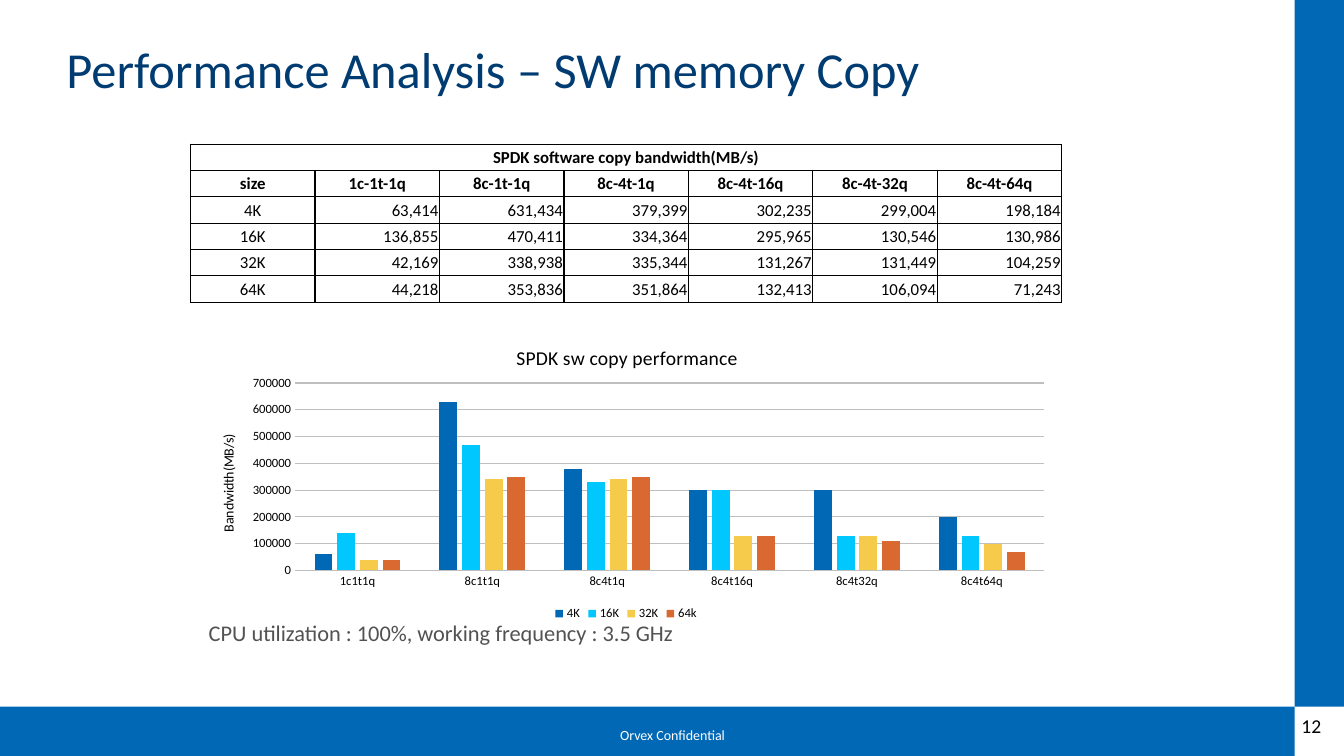
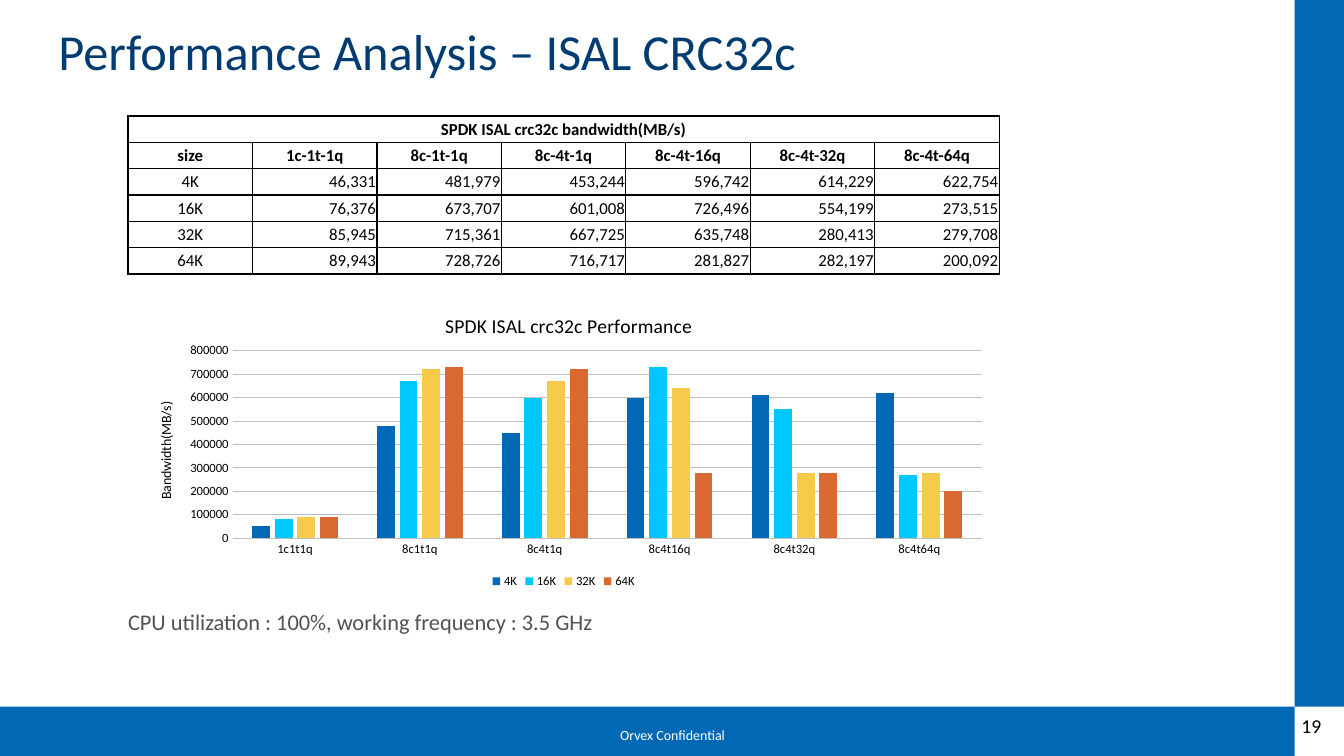
from dataclasses import dataclass

from lxml import etree
from pptx import Presentation
from pptx.chart.data import CategoryChartData
from pptx.dml.color import RGBColor
from pptx.enum.chart import XL_CHART_TYPE, XL_LEGEND_POSITION, XL_TICK_MARK
from pptx.enum.shapes import MSO_SHAPE
from pptx.enum.text import MSO_ANCHOR, PP_ALIGN
from pptx.oxml.ns import qn
from pptx.util import Inches, Pt

COLUMNS = XL_CHART_TYPE.COLUMN_CLUSTERED
LEGEND_BOTTOM = XL_LEGEND_POSITION.BOTTOM
NO_TICK = XL_TICK_MARK.NONE
RECTANGLE = MSO_SHAPE.RECTANGLE
MIDDLE = MSO_ANCHOR.MIDDLE
LEFT, CENTER, RIGHT = PP_ALIGN.LEFT, PP_ALIGN.CENTER, PP_ALIGN.RIGHT


@dataclass(frozen=True)
class Theme:
    """Colours, font and type sizes of the deck."""

    font: str = "Calibri"
    band: str = "0068B5"
    title: str = "003C71"
    note: str = "525252"
    ink: str = "000000"
    paper: str = "FFFFFF"
    grid: str = "BFBFBF"
    series: tuple = ("0068B5", "00C7FD", "F6CB4B", "D96930")
    title_size: int = 36
    note_size: int = 16
    number_size: int = 14
    chart_title_size: int = 14
    table_size: int = 12
    small_size: int = 10
    axis_size: int = 9


@dataclass(frozen=True)
class Report:
    """Content and placement of one performance slide."""

    number: str
    title: str
    title_at: tuple
    table_title: str
    table_at: tuple
    chart_title: str
    chart_top: float
    chart_title_left: float
    note_at: tuple
    legend: tuple
    values: tuple


THEME = Theme()
WIDTH, HEIGHT = 13.33, 7.5
BAND = 0.49
BLOCK_WIDTH, TABLE_HEIGHT, CHART_HEIGHT = 8.64, 1.57, 3
SIZES = ("4K", "16K", "32K", "64K")
SETUPS = ("1c-1t-1q", "8c-1t-1q", "8c-4t-1q", "8c-4t-16q", "8c-4t-32q", "8c-4t-64q")
NOTE = "CPU utilization : 100%, working frequency : 3.5 GHz"
FOOTER = "Orvex Confidential"

REPORTS = (
    Report(
        number="12",
        title="Performance Analysis – SW memory Copy",
        title_at=(0.66, 0.45),
        table_title="SPDK software copy bandwidth(MB/s)",
        table_at=(1.89, 1.43),
        chart_title="SPDK sw copy performance",
        chart_top=3.2,
        chart_title_left=0.37,
        note_at=(2.07, 6.14),
        legend=("4K", "16K", "32K", "64k"),
        values=(
            (63414, 631434, 379399, 302235, 299004, 198184),
            (136855, 470411, 334364, 295965, 130546, 130986),
            (42169, 338938, 335344, 131267, 131449, 104259),
            (44218, 353836, 351864, 132413, 106094, 71243),
        ),
    ),
    Report(
        number="19",
        title="Performance Analysis – ISAL CRC32c",
        title_at=(0.58, 0.27),
        table_title="SPDK ISAL crc32c bandwidth(MB/s)",
        table_at=(1.27, 1.15),
        chart_title="SPDK ISAL crc32c Performance",
        chart_top=2.88,
        chart_title_left=0.36,
        note_at=(1.27, 6.03),
        legend=SIZES,
        values=(
            (46331, 481979, 453244, 596742, 614229, 622754),
            (76376, 673707, 601008, 726496, 554199, 273515),
            (85945, 715361, 667725, 635748, 280413, 279708),
            (89943, 728726, 716717, 281827, 282197, 200092),
        ),
    ),
)


def style_font(font, size, color=THEME.ink, bold=False):
    """Apply the deck font with a size, colour and weight."""
    font.name, font.size, font.bold = THEME.font, Pt(size), bold
    font.color.rgb = RGBColor.from_string(color)


def write_text(frame, text, *, size, color=THEME.ink, bold=False, align=LEFT, spacing=None):
    """Write one formatted paragraph into a text frame."""
    para = frame.paragraphs[0]
    para.alignment = align
    para.line_spacing = spacing
    span = para.add_run()
    span.text = text
    style_font(span.font, size, color, bold)


def add_text(page, at, text, *, inset=True, **text_format):
    """Add a wrapping text box, with or without insets."""
    box = page.shapes.add_textbox(*map(Inches, at))
    frame = box.text_frame
    frame.word_wrap = True
    if not inset:
        frame.margin_left = frame.margin_right = 0
        frame.margin_top = frame.margin_bottom = 0
    write_text(frame, text, **text_format)


def add_band(page, *at):
    """Add a plain band in the deck's main colour."""
    band = page.shapes.add_shape(RECTANGLE, *map(Inches, at))
    band.shadow.inherit = False
    band.fill.solid()
    band.fill.fore_color.rgb = RGBColor.from_string(THEME.band)
    band.line.fill.background()


def add_frame(page, report):
    """Add the bands, footer, page number and title."""
    right, bottom = WIDTH - BAND, HEIGHT - BAND
    add_band(page, 0, bottom, right, BAND)
    add_band(page, right, 0, BAND, bottom)
    add_text(page, (5.92, 7.18, 1.5, 0.25), FOOTER, size=THEME.small_size,
             color=THEME.paper, align=CENTER, spacing=0.9)
    add_text(page, (12.81, 7.06, 0.52, 0.35), report.number,
             size=THEME.number_size, spacing=0.9)
    add_text(page, (*report.title_at, 12, 0.62), report.title, inset=False,
             size=THEME.title_size, color=THEME.title, spacing=0.9)


def border_cell(cell):
    """Draw a one-point line on every side of a cell."""
    properties = cell._tc.get_or_add_tcPr()
    for side in ("a:lnL", "a:lnR", "a:lnT", "a:lnB"):
        line = etree.SubElement(properties, qn(side), w=str(Pt(1)))
        fill = etree.SubElement(line, qn("a:solidFill"))
        etree.SubElement(fill, qn("a:srgbClr"), val=THEME.ink)


def add_bandwidth_table(page, report):
    """Add the bandwidth figures under a merged heading."""
    rows = [(report.table_title,) + ("",) * len(SETUPS), ("size", *SETUPS)]
    for size, values in zip(SIZES, report.values):
        rows.append((size, *(f"{value:,}" for value in values)))
    at = (*report.table_at, BLOCK_WIDTH, TABLE_HEIGHT)
    table = page.shapes.add_table(len(rows), len(rows[0]), *map(Inches, at)).table
    table.first_row = table.horz_banding = False
    for row, texts in enumerate(rows):
        for column, text in enumerate(texts):
            cell = table.cell(row, column)
            border_cell(cell)
            cell.fill.solid()
            cell.fill.fore_color.rgb = RGBColor.from_string(THEME.paper)
            cell.vertical_anchor = MIDDLE
            cell.margin_left = cell.margin_right = cell.margin_top = Inches(0.01)
            cell.margin_bottom = 0
            heading = row < 2
            write_text(cell.text_frame, text, size=THEME.table_size, bold=heading,
                       align=CENTER if heading or column == 0 else RIGHT, spacing=0.9)
    table.cell(0, 0).merge(table.cell(0, len(SETUPS)))


def place_in_chart(element, index, **settings):
    """Give a chart part a manual layout in fractions of the chart."""
    for layout in element.findall(qn("c:layout")):
        element.remove(layout)
    layout = etree.Element(qn("c:layout"))
    manual = etree.SubElement(layout, qn("c:manualLayout"))
    for name, value in settings.items():
        etree.SubElement(manual, qn(f"c:{name}"), val=str(value))
    element.insert(index, layout)


def title_chart_part(title, text, size, x, y):
    """Write a chart or axis title and set its place."""
    write_text(title.text_frame, text, size=size, align=CENTER)
    place_in_chart(title._element, 1, xMode="edge", yMode="edge", x=x, y=y)


def style_axis(axis):
    """Remove an axis line and its ticks, and set its labels."""
    axis.major_tick_mark = axis.minor_tick_mark = NO_TICK
    axis.format.line.fill.background()
    style_font(axis.tick_labels.font, THEME.axis_size)


def add_bandwidth_chart(page, report):
    """Add the clustered columns of rounded bandwidth."""
    data = CategoryChartData()
    data.categories = [setup.replace("-", "") for setup in SETUPS]
    for name, values in zip(report.legend, report.values):
        data.add_series(name, [round(value, -4) for value in values])
    at = (report.table_at[0], report.chart_top, BLOCK_WIDTH, CHART_HEIGHT)
    chart = page.shapes.add_chart(COLUMNS, *map(Inches, at), data).chart
    style_font(chart.font, THEME.small_size)
    title_chart_part(chart.chart_title, report.chart_title,
                     THEME.chart_title_size, report.chart_title_left, 0.06)

    style_axis(chart.category_axis)
    axis = chart.value_axis
    style_axis(axis)
    axis.minimum_scale, axis.major_unit = 0, 100000
    grid = axis.major_gridlines.format.line
    grid.width = Pt(0.75)
    grid.color.rgb = RGBColor.from_string(THEME.grid)
    title_chart_part(axis.axis_title, "Bandwidth(MB/s)", THEME.small_size, 0.03, 0.36)
    axis.axis_title.text_frame._txBody.bodyPr.set("rot", "-5400000")

    chart.has_legend = True
    chart.legend.position = LEGEND_BOTTOM
    chart.legend.include_in_layout = False
    style_font(chart.legend.font, THEME.axis_size)

    plot = chart.plots[0]
    plot.gap_width, plot.overlap = 219, -27
    plot.vary_by_categories = False
    for series, color in zip(plot.series, THEME.series):
        series.format.fill.solid()
        series.format.fill.fore_color.rgb = RGBColor.from_string(color)
    plot_area = chart._chartSpace.chart.plotArea
    place_in_chart(plot_area, 0, layoutTarget="inner", xMode="edge", yMode="edge",
                   x=0.12, y=0.2, w=0.86, h=0.62)


def add_report(deck, report):
    """Add one complete performance slide."""
    page = deck.slides.add_slide(deck.slide_layouts[6])
    add_frame(page, report)
    add_bandwidth_table(page, report)
    add_bandwidth_chart(page, report)
    add_text(page, (*report.note_at, 5.19, 0.27), NOTE, inset=False,
             size=THEME.note_size, color=THEME.note)


def main():
    """Build and save the deck."""
    deck = Presentation()
    deck.slide_width, deck.slide_height = Inches(WIDTH), Inches(HEIGHT)
    for report in REPORTS:
        add_report(deck, report)
    deck.save("out.pptx")


if __name__ == "__main__":
    main()
